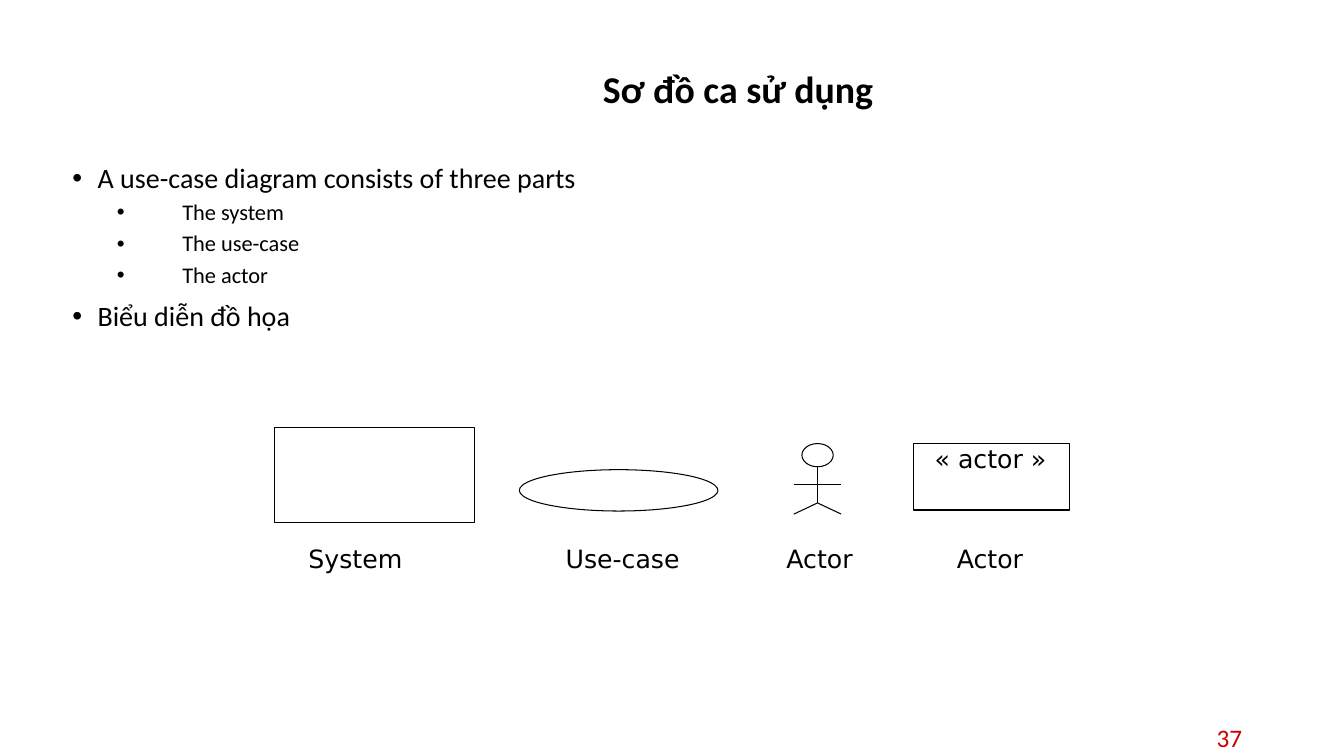
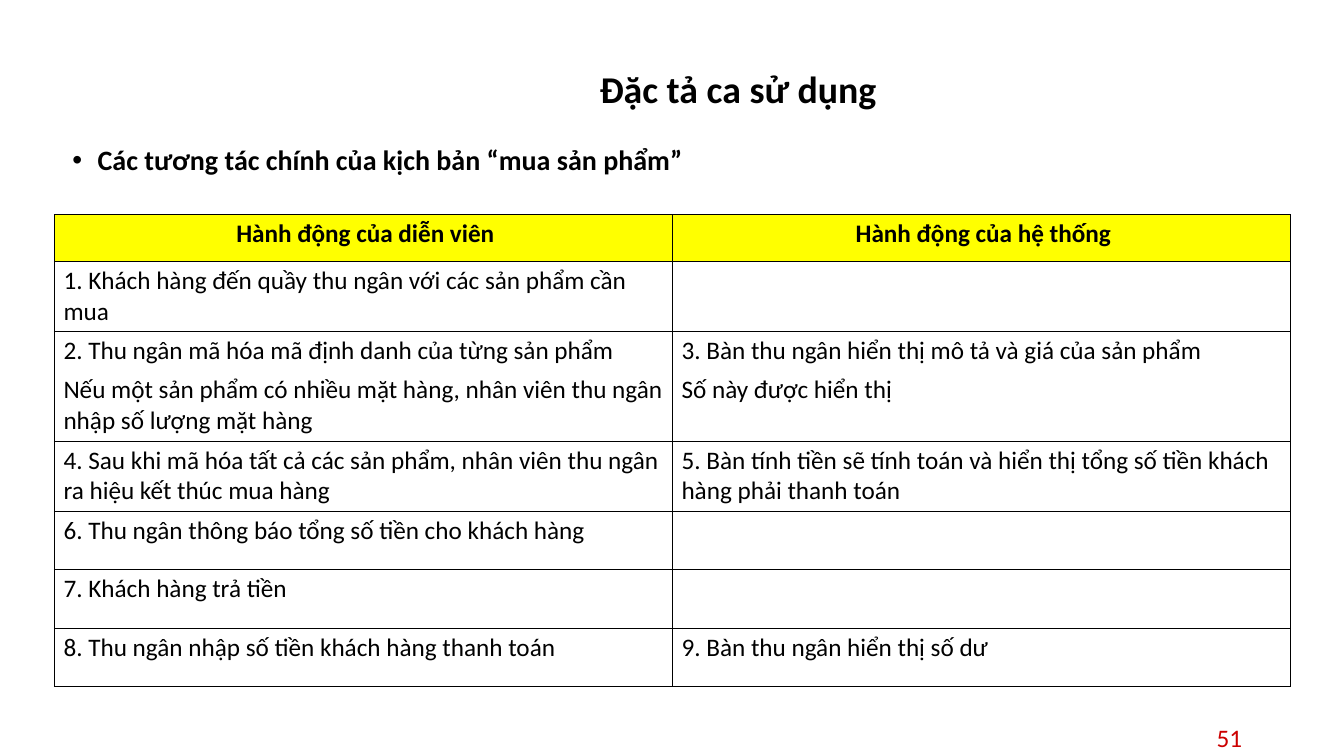
from dataclasses import dataclass

from lxml import etree
from pptx import Presentation, util as u
from pptx.dml.color import RGBColor
from pptx.enum import shapes, text
from pptx.oxml import parse_xml
from pptx.oxml.ns import nsdecls, qn


@dataclass(frozen=True)
class Theme:
    ink: str = "000000"
    number: str = "CC0000"
    header: str = "FFFF00"
    font: str = "Calibri"
    label_font: str = "DejaVu Sans"
    title_size: int = 27
    bullet_sizes: tuple = (20, 16)
    bullet_spaces: tuple = (10, 5)
    bullet_indents: tuple = ((0.25, -0.25), (1.09, -0.65))
    text_size: int = 18
    outline: float = 0.75
    border: float = 1
    leading: float = 0.9


THEME = Theme()


def write(frame, content, size=THEME.text_size, font=THEME.font, color=THEME.ink, bold=False,
          align=text.PP_ALIGN.LEFT, leading=None, before=0, level=0, indent=None, bullet=None):
    first = not frame.paragraphs[0].runs
    para = frame.paragraphs[0] if first else frame.add_paragraph()
    props = para._p.get_or_add_pPr()
    if indent:
        props.set("marL", str(u.Inches(indent[0])))
        props.set("indent", str(u.Inches(indent[1])))
    if bullet:
        etree.SubElement(props, qn("a:buFont")).set("typeface", "Arial")
        etree.SubElement(props, qn("a:buChar")).set("char", bullet)
    para.level = level
    para.alignment = align
    para.space_before = u.Pt(0 if first else before)
    if leading:
        para.line_spacing = leading
    span = para.add_run()
    span.text = content
    span.font.name = font
    span.font.size = u.Pt(size)
    span.font.bold = bold
    span.font.color.rgb = RGBColor.from_string(color)


class Deck:
    def __init__(self, theme):
        self.theme = theme
        self.file = Presentation()
        self.file.slide_width = u.Inches(13.33)
        self.file.slide_height = u.Inches(7.5)

    def x(self, percent):
        return round(self.file.slide_width * percent / 100)

    def y(self, percent):
        return round(self.file.slide_height * percent / 100)

    def area(self, left, top, width, height):
        return self.x(left), self.y(top), self.x(width), self.y(height)

    def start_page(self, title, number):
        self.page = self.file.slides.add_slide(self.file.slide_layouts[6])
        self.canvas = self.page.shapes
        middle = text.MSO_ANCHOR.MIDDLE
        write(self.frame((16.73, 5.33, 76.37, 13.6), middle), title, size=self.theme.title_size,
              bold=True, align=text.PP_ALIGN.CENTER, leading=self.theme.leading)
        write(self.frame((70.67, 95.2, 22.5, 4.8), middle), number,
              color=self.theme.number, align=text.PP_ALIGN.RIGHT)

    def start_group(self):
        self.canvas = self.page.shapes.add_group_shape().shapes

    def frame(self, place, anchor=text.MSO_ANCHOR.TOP):
        frame = self.canvas.add_textbox(*self.area(*place)).text_frame
        frame.word_wrap = True
        frame.vertical_anchor = anchor
        return frame

    def bullets(self, top, items, bold=False):
        frame = self.frame((4.65, top, 88.52, 68.93))
        for level, content in items:
            write(frame, content, size=self.theme.bullet_sizes[level], bold=bold, level=level,
                  leading=self.theme.leading, before=self.theme.bullet_spaces[level],
                  indent=self.theme.bullet_indents[level], bullet="•")

    def label(self, content, left, top, width):
        frame = self.frame((left, top, width, 5.33))
        frame.word_wrap = False
        frame.auto_size = text.MSO_AUTO_SIZE.SHAPE_TO_FIT_TEXT
        frame.margin_left = frame.margin_right = u.Inches(0.05)
        write(frame, content, font=self.theme.label_font)

    def pen(self, line):
        line.color.rgb = RGBColor.from_string(self.theme.ink)
        line.width = u.Pt(self.theme.outline)

    def outline(self, kind, *place):
        shape = self.canvas.add_shape(kind, *self.area(*place))
        shape.shadow.inherit = False
        shape.fill.background()
        self.pen(shape.line)

    def line(self, x1, y1, x2, y2):
        line = self.canvas.add_connector(shapes.MSO_CONNECTOR.STRAIGHT, self.x(x1), self.y(y1),
                                         self.x(x2), self.y(y2))
        etree.SubElement(line._element.spPr, qn("a:effectLst"))
        self.pen(line.line)

    def stick_figure(self, center, top):
        head_width, head_height, reach = 2.33, 3.07, 1.76
        neck, arms, hip, feet = (top + drop for drop in (head_height, 5.46, 7.86, 9.33))
        self.outline(shapes.MSO_SHAPE.OVAL, center - head_width / 2, top, head_width, head_height)
        self.line(center, neck, center, hip)
        self.line(center - reach, arms, center + reach, arms)
        for side in (-reach, reach):
            self.line(center, hip, center + side, feet)

    def table(self, place, heights, rows):
        table = self.canvas.add_table(len(rows), len(rows[0]), *self.area(*place)).table
        table.horz_banding = False
        for row, height in zip(table.rows, heights):
            row.height = self.y(height)
        for r, row in enumerate(rows):
            for c, contents in enumerate(row):
                self.cell(table.cell(r, c), contents, header=r == 0)

    def cell(self, cell, contents, header):
        cell.margin_left = cell.margin_right = u.Inches(0.05)
        cell.margin_top = cell.margin_bottom = u.Inches(0.04)
        props = cell._tc.get_or_add_tcPr()
        for side in "LRTB":
            props.append(parse_xml(
                f'<a:ln{side} {nsdecls("a")} w="{u.Pt(self.theme.border)}"><a:solidFill>'
                f'<a:srgbClr val="{self.theme.ink}"/></a:solidFill></a:ln{side}>'))
        if header:
            cell.fill.solid()
            cell.fill.fore_color.rgb = RGBColor.from_string(self.theme.header)
        else:
            cell.fill.background()
        align = text.PP_ALIGN.CENTER if header else text.PP_ALIGN.LEFT
        for content in contents:
            write(cell.text_frame, content, bold=header, align=align, before=6, indent=(0.04, 0))


def use_case_diagram(deck):
    deck.start_page("Sơ đồ ca sử dụng", "37")
    deck.bullets(21.07, [
        (0, "A use-case diagram consists of three parts"),
        (1, "The system"),
        (1, "The use-case"),
        (1, "The actor"),
        (0, "Biểu diễn đồ họa"),
    ])
    deck.start_group()
    actor_top = 58.67
    deck.outline(shapes.MSO_SHAPE.RECTANGLE, 20.4, 56.53, 14.93, 12.53)
    deck.outline(shapes.MSO_SHAPE.OVAL, 38.64, 62.13, 14.78, 5.47)
    deck.stick_figure(60.83, actor_top)
    deck.outline(shapes.MSO_SHAPE.RECTANGLE, 67.97, actor_top, 11.63, 8.8)
    deck.label("« actor »", 69.17, 58, 9.38)
    for content, left, width in (("System", 22.58, 7.88), ("Use-case", 41.71, 9.38),
                                 ("Actor", 58.14, 5.7), ("Actor", 70.82, 5.7)):
        deck.label(content, left, 71.2, width)


def use_case_scenario(deck):
    deck.start_page("Đặc tả ca sử dụng", "51")
    deck.bullets(18.67, [(0, "Các tương tác chính của kịch bản “mua sản phẩm”")], bold=True)
    heights = [6.22, 9.25, 14.5, 9.25] + [7.75] * 3
    deck.table((4.05, 28.4, 91.97, sum(heights)), heights, [
        (["Hành động của diễn viên"], ["Hành động của hệ thống"]),
        (["1. Khách hàng đến quầy thu ngân với các sản phẩm cần mua"], []),
        (["2. Thu ngân mã hóa mã định danh của từng sản phẩm",
          "Nếu một sản phẩm có nhiều mặt hàng, nhân viên thu ngân nhập số lượng mặt hàng"],
         ["3. Bàn thu ngân hiển thị mô tả và giá của sản phẩm", "Số này được hiển thị"]),
        (["4. Sau khi mã hóa tất cả các sản phẩm, nhân viên thu ngân ra hiệu kết thúc mua hàng"],
         ["5. Bàn tính tiền sẽ tính toán và hiển thị tổng số tiền khách hàng phải thanh toán"]),
        (["6. Thu ngân thông báo tổng số tiền cho khách hàng"], []),
        (["7. Khách hàng trả tiền"], []),
        (["8. Thu ngân nhập số tiền khách hàng thanh toán"], ["9. Bàn thu ngân hiển thị số dư"]),
    ])


def main():
    deck = Deck(THEME)
    use_case_diagram(deck)
    use_case_scenario(deck)
    deck.file.save("out.pptx")


if __name__ == "__main__":
    main()
